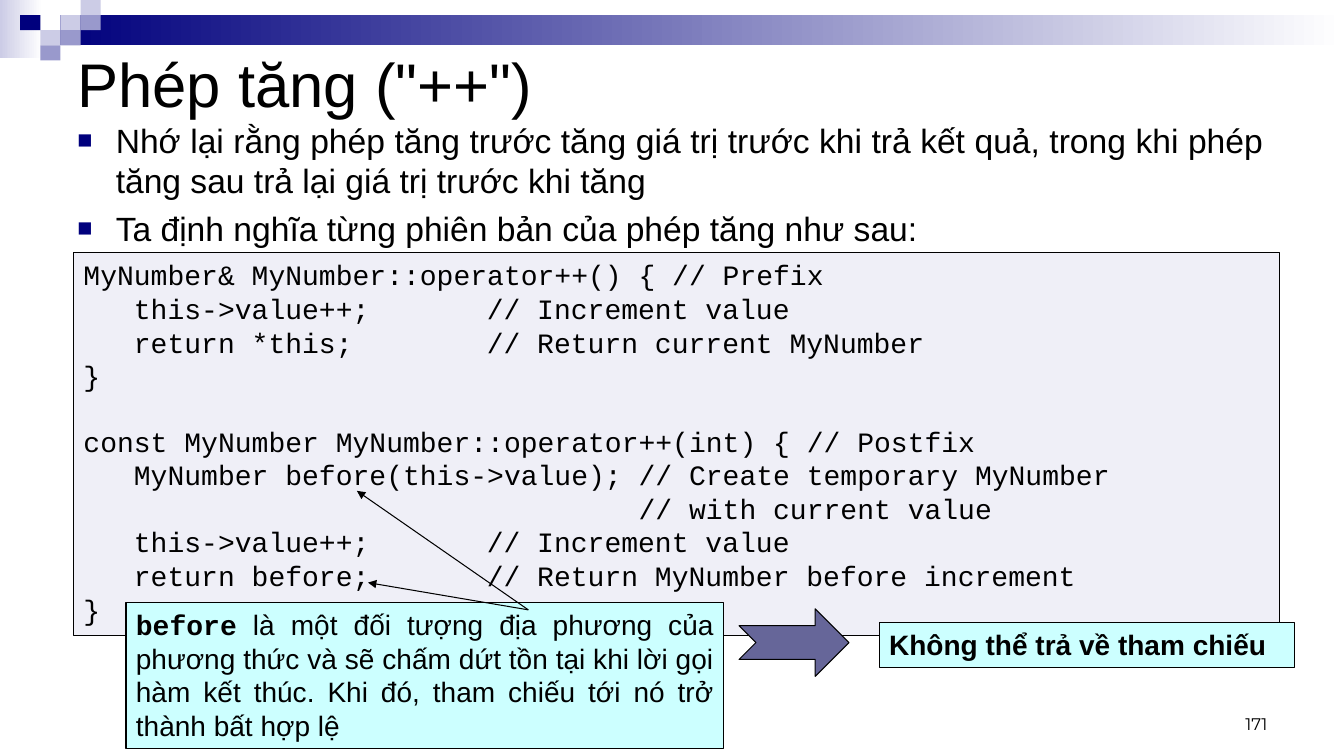
from dataclasses import dataclass
from typing import Any

import pptx
import pptx.dml.color
import pptx.enum.shapes
import pptx.enum.text
import pptx.oxml
import pptx.oxml.ns
import pptx.util
from lxml import etree

PX = 9144  # EMU per px, 100 px to the inch
COLOURS = {
    "black": "000000", "white": "FFFFFF", "navy": "00007D",
    "lavender": "CCCCE6", "periwinkle": "9999CC", "code": "EFEFF7",
    "note": "CCFFFF", "arrow": "666699",
}
SHAPES = pptx.enum.shapes.MSO_SHAPE
ALIGN = pptx.enum.text.PP_ALIGN
ANCHOR = pptx.enum.text.MSO_ANCHOR


@dataclass(frozen=True)
class Box:
    left: int
    top: int
    width: int
    height: int

    def emu(self) -> list[int]:
        return [side * PX for side in (self.left, self.top, self.width, self.height)]


@dataclass(frozen=True)
class Run:
    text: str
    size: int
    font: str = "Arial"
    bold: bool = False


@dataclass(frozen=True)
class Paragraph:
    runs: tuple[Run, ...]
    align: Any = ALIGN.LEFT
    space_before: float = 0
    bullet: bool = False
    tab: int = 0


@dataclass(frozen=True)
class Panel:
    box: Box
    fill: str
    paragraphs: tuple[Paragraph, ...]


@dataclass(frozen=True)
class Label:
    box: Box
    anchor: Any
    paragraphs: tuple[Paragraph, ...]


def rgb(name: str) -> pptx.dml.color.RGBColor:
    return pptx.dml.color.RGBColor.from_string(COLOURS[name])


def apply_format(target: Any, values: dict[str, Any]) -> None:
    for name, value in values.items():
        setattr(target, name, value)


def add_bullet(paragraph: Any) -> None:
    properties = paragraph._p.get_or_add_pPr()
    properties.set("marL", str(38 * PX))
    properties.set("indent", str(-38 * PX))
    namespace = pptx.oxml.ns.nsdecls("a")
    for xml in (
        f'<a:buClr {namespace}><a:srgbClr val="{COLOURS["navy"]}"/></a:buClr>',
        f'<a:buSzPct {namespace} val="75000"/>',
        f'<a:buFont {namespace} typeface="Arial"/>',
        f'<a:buChar {namespace} char="■"/>',
    ):
        properties.append(pptx.oxml.parse_xml(xml))


def add_tab(paragraph: Any, position: int) -> None:
    tabs = etree.SubElement(paragraph._p.get_or_add_pPr(), pptx.oxml.ns.qn("a:tabLst"))
    etree.SubElement(tabs, pptx.oxml.ns.qn("a:tab"), pos=str(position * PX), algn="l")


def write_text(shape: Any, paragraphs: tuple[Paragraph, ...], anchor: Any) -> None:
    frame = shape.text_frame
    apply_format(frame, {"word_wrap": True, "vertical_anchor": anchor})
    for index, content in enumerate(paragraphs):
        paragraph = frame.add_paragraph() if index else frame.paragraphs[0]
        if content.bullet:
            add_bullet(paragraph)
        if content.tab:
            add_tab(paragraph, content.tab)
        apply_format(paragraph, {
            "alignment": content.align,
            "space_before": pptx.util.Pt(content.space_before),
        })
        for piece in content.runs:
            run = paragraph.add_run()
            run.text = piece.text
            apply_format(run.font, {
                "name": piece.font, "size": pptx.util.Pt(piece.size), "bold": piece.bold,
            })
            run.font.color.rgb = rgb("black")


def add_block(slide: Any, kind: Any, box: Box, fill: str, outlined: bool = False) -> Any:
    shape = slide.shapes.add_shape(kind, *box.emu())
    shape.shadow.inherit = False
    shape.fill.solid()
    shape.fill.fore_color.rgb = rgb(fill)
    if outlined:
        shape.line.color.rgb = rgb("black")
        shape.line.width = pptx.util.Pt(0.75)
    else:
        shape.line.fill.background()
    return shape


def add_fade(slide: Any, box: Box, start: str) -> None:
    shape = add_block(slide, SHAPES.RECTANGLE, box, start)
    shape.fill.gradient()
    shape.fill.gradient_angle = 0
    for stop, position, colour in zip(shape.fill.gradient_stops, (0, 1), (start, "white")):
        stop.position = position
        stop.color.rgb = rgb(colour)


def add_panel(slide: Any, panel: Panel) -> None:
    shape = add_block(slide, SHAPES.RECTANGLE, panel.box, panel.fill, outlined=True)
    write_text(shape, panel.paragraphs, ANCHOR.TOP)


def add_label(slide: Any, label: Label) -> None:
    write_text(slide.shapes.add_textbox(*label.box.emu()), label.paragraphs, label.anchor)


def add_pointer(slide: Any, start: tuple[int, int], end: tuple[int, int]) -> None:
    connector = slide.shapes.add_connector(
        pptx.enum.shapes.MSO_CONNECTOR.STRAIGHT, *(value * PX for value in start + end))
    connector.line.color.rgb = rgb("black")
    connector.line.width = pptx.util.Pt(0.75)
    etree.SubElement(connector.line._get_or_add_ln(), pptx.oxml.ns.qn("a:tailEnd"), type="triangle")
    etree.SubElement(connector._element.spPr, pptx.oxml.ns.qn("a:effectLst"))


# Banner: two fades and a grid of small tiles given as (column, row)
FADES = {"lavender": Box(0, 0, 42, 58), "navy": Box(60, 15, 1273, 30)}
TILES = {
    "lavender": ((3, 1), (4, 0), (2, 2)),
    "periwinkle": ((4, 1), (3, 2), (2, 3)),
    "navy": ((1, 1),),
}

# Text content
BULLETS = (
    "Nhớ lại rằng phép tăng trước tăng giá trị trước khi trả kết quả, trong khi phép "
    "tăng sau trả lại giá trị trước khi tăng",
    "Ta định nghĩa từng phiên bản của phép tăng như sau:",
)
PREFIX_CODE = """MyNumber& MyNumber::operator++() { // Prefix
   this->value++;\t// Increment value
   return *this;\t// Return current MyNumber
}"""
POSTFIX_CODE = """const MyNumber MyNumber::operator++(int) { // Postfix
   MyNumber before(this->value); // Create temporary MyNumber
                                 // with current value
   this->value++;\t// Increment value
   return before;\t// Return MyNumber before increment
}"""
CODE_LINE_HEIGHT = 22.66
LABELS = (
    Label(Box(956, 683, 311, 50), ANCHOR.BOTTOM,
          (Paragraph((Run("171", 12, "Montserrat"),), ALIGN.RIGHT),)),
    Label(Box(67, 30, 900, 104), ANCHOR.MIDDLE, (Paragraph((Run('Phép tăng ("++")', 44),)),)),
    Label(Box(67, 114, 1196, 117), ANCHOR.TOP, tuple(
        Paragraph((Run(text, 24),), ALIGN.JUSTIFY, 5 if index else 0, bullet=True)
        for index, text in enumerate(BULLETS))),
)
PANELS = (
    Panel(Box(73, 251, 1196, 380), "code", tuple(
        Paragraph((Run(line, 20, "Courier New"),), tab=400,
                  space_before=CODE_LINE_HEIGHT if method and not index else 0)
        for method, code in enumerate((PREFIX_CODE, POSTFIX_CODE))
        for index, line in enumerate(code.splitlines()))),
    Panel(Box(125, 598, 593, 145), "note", (Paragraph((
        Run("before", 20, "Courier New", True),
        Run(" là một đối tượng địa phương của phương thức và sẽ chấm dứt tồn tại khi lời gọi "
            "hàm kết thúc. Khi đó, tham chiếu tới nó trở thành bất hợp lệ", 20)), ALIGN.JUSTIFY),)),
    Panel(Box(872, 618, 412, 44), "note",
          (Paragraph((Run("Không thể trả về tham chiếu", 20, bold=True),)),)),
)
POINTER_START = (524, 605)
POINTER_ENDS = ((354, 487), (365, 578))


def main() -> None:
    presentation = pptx.Presentation()
    apply_format(presentation, {"slide_width": 1333 * PX, "slide_height": 750 * PX})
    slide = presentation.slides.add_slide(presentation.slide_layouts[6])
    for colour, box in FADES.items():
        add_fade(slide, box, colour)
    for colour, cells in TILES.items():
        for column, row in cells:
            add_block(slide, SHAPES.RECTANGLE, Box(20 * column, 15 * row, 20, 15), colour)
    for label in LABELS:
        add_label(slide, label)
    for panel in PANELS:
        add_panel(slide, panel)
    for end in POINTER_ENDS:
        add_pointer(slide, POINTER_START, end)
    add_block(slide, SHAPES.NOTCHED_RIGHT_ARROW, Box(733, 604, 109, 67), "arrow", outlined=True)
    presentation.save("out.pptx")


if __name__ == "__main__":
    main()
